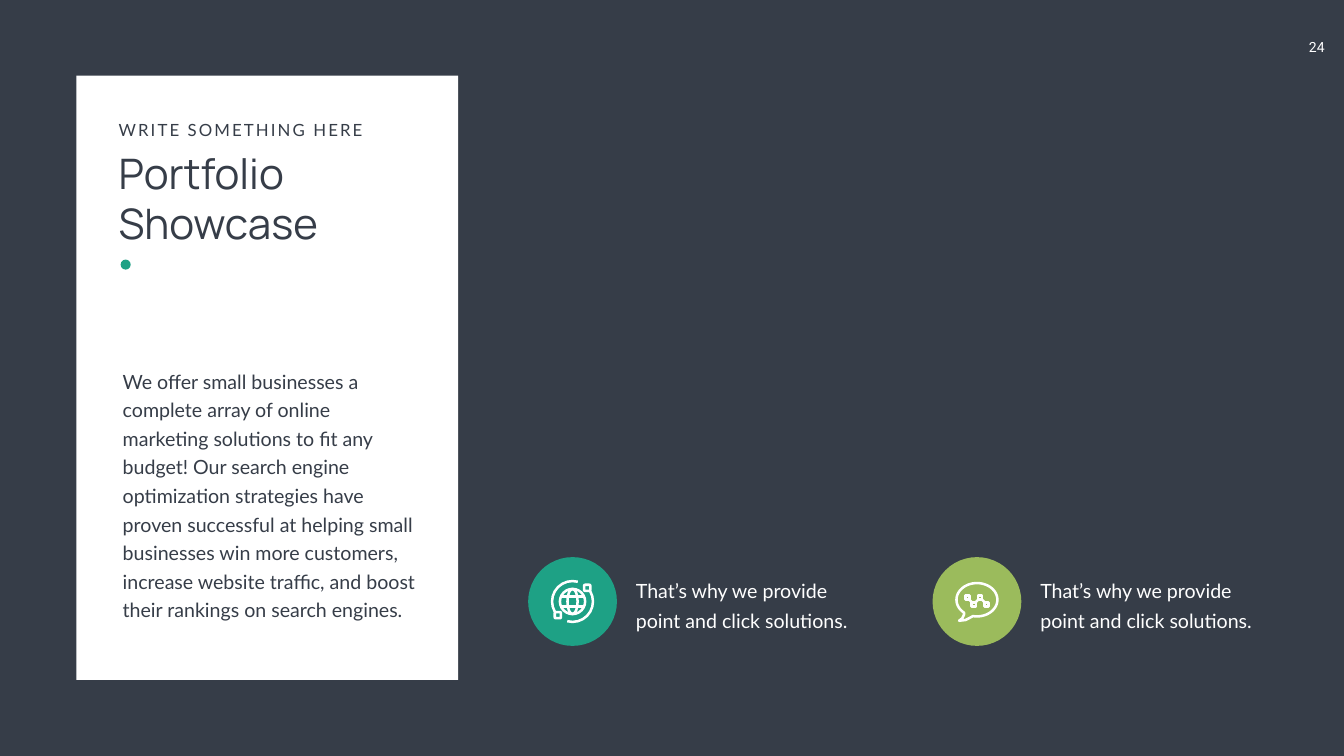
from dataclasses import dataclass
from itertools import pairwise
from math import cos, radians, sin

from lxml.etree import SubElement
from pptx import Presentation
from pptx.dml.color import RGBColor
from pptx.enum.shapes import MSO_CONNECTOR, MSO_SHAPE
from pptx.enum.text import MSO_AUTO_SIZE, PP_ALIGN
from pptx.oxml.ns import qn
from pptx.util import Pt


@dataclass(frozen=True)
class Theme:
    """Colours, fonts and sizes of the slide."""
    dark: RGBColor = RGBColor(0x36, 0x3D, 0x48)
    white: RGBColor = RGBColor(0xFF, 0xFF, 0xFF)
    teal: RGBColor = RGBColor(0x1E, 0xA1, 0x85)
    green: RGBColor = RGBColor(0x9B, 0xBB, 0x5C)
    heading_font: str = "Manrope"
    body_font: str = "Lato"
    number_font: str = "Roboto"
    title_size: float = 60
    body_size: float = 28
    label_size: float = 24
    number_size: float = 20
    stroke: float = 3.6


THEME = Theme()


def set_attributes(target, values):
    """Set every attribute named in values on target."""
    for name, value in values.items():
        setattr(target, name, value)


def add_text(shapes, box, text, font, size, color, frame_format=None,
             paragraph_format=None, spacing=0):
    """Add a one-paragraph text box."""
    shape = shapes.add_textbox(*map(Pt, box))
    frame = shape.text_frame
    set_attributes(frame, {"word_wrap": True,
                           "auto_size": MSO_AUTO_SIZE.SHAPE_TO_FIT_TEXT,
                           **(frame_format or {})})
    paragraph = frame.paragraphs[0]
    set_attributes(paragraph, paragraph_format or {})
    run = paragraph.add_run()
    run.text = text
    set_attributes(run.font, {"name": font, "size": Pt(size)})
    run.font.color.rgb = color
    if spacing:
        run.font._element.set("spc", str(spacing * 100))


def add_filled(shapes, kind, box, color):
    """Add a filled preset shape without a line."""
    shape = shapes.add_shape(kind, *map(Pt, box))
    shape.shadow.inherit = False
    shape.fill.solid()
    shape.fill.fore_color.rgb = color
    shape.line.fill.background()


def draw_stroke(shape):
    """Give a shape the white icon stroke and no fill."""
    shape.shadow.inherit = False
    shape.fill.background()
    shape.line.color.rgb = THEME.white
    shape.line.width = Pt(THEME.stroke)


def add_outline(shapes, kind, center, half_width, half_height, adjustments=()):
    """Add a stroked preset shape around a centre."""
    x, y = center
    shape = shapes.add_shape(kind, Pt(x - half_width), Pt(y - half_height),
                             Pt(2 * half_width), Pt(2 * half_height))
    for index, value in enumerate(adjustments):
        shape.adjustments[index] = value
    draw_stroke(shape)


def add_line(shapes, start, end):
    """Add a straight white icon line."""
    line = shapes.add_connector(MSO_CONNECTOR.STRAIGHT, *map(Pt, (*start, *end)))
    line.line.color.rgb = THEME.white
    line.line.width = Pt(THEME.stroke)
    SubElement(line._element.spPr, qn("a:effectLst"))


def add_contours(shapes, contours):
    """Add one stroked freeform made of (points, closed) contours."""
    builder = None
    for points, closed in contours:
        start, *rest = [(Pt(left), Pt(top)) for left, top in points]
        if builder:
            builder.move_to(*start)
        else:
            builder = shapes.build_freeform(*start)
        builder.add_line_segments(rest, close=closed)
    draw_stroke(builder.convert_to_shape())


def add_globe_icon(shapes, x, y):
    """Draw a globe circled by two orbit arcs with square satellites."""
    for half_width in (18, 7.2):
        add_outline(shapes, MSO_SHAPE.OVAL, (x, y), half_width, 18)
    for offset in (-7.2, 7.2):
        add_line(shapes, (x - 16.5, y + offset), (x + 16.5, y + offset))
    for start, end in ((330, 105), (150, 285)):
        add_outline(shapes, MSO_SHAPE.ARC, (x, y), 29.2, 29.2,
                    (start * 0.6, end * 0.6))
    for direction in (-1, 1):
        center = (x + 21 * direction, y - 19.5 * direction)
        add_outline(shapes, MSO_SHAPE.ROUNDED_RECTANGLE, center, 4.4, 4.4, (0.15,))


def add_bubble_icon(shapes, x, y):
    """Draw a speech bubble holding a zigzag of four nodes."""
    angles = [radians(angle) for angle in range(101, -232, -4)]
    curve = [(29.2 * cos(angle), 23.8 * sin(angle) - 2.5) for angle in angles]
    tail = [(-18.5, 19), (-21, 24), (-25.5, 27.5), (-16.5, 26.5), (-10.5, 23.5)]
    bubble = [(x + left, y + top) for left, top in curve + tail]
    add_contours(shapes, [(bubble, True)])

    nodes = [(x + 9.1 * (index - 1.5), y + (4 if index % 2 else -5.4))
             for index in range(4)]
    corners = ((-2.9, -2.9), (2.9, -2.9), (2.9, 2.9), (-2.9, 2.9))
    squares = [([(left + dx, top + dy) for dx, dy in corners], True)
               for left, top in nodes]
    links = []
    for (left, top), (right, bottom) in pairwise(nodes):
        gap = 3 if bottom > top else -3
        links.append(([(left + 3, top + gap), (right - 3, bottom - gap)], False))
    add_contours(shapes, squares + links)


def add_card(shapes):
    """Add the white card with its heading and description."""
    add_filled(shapes, MSO_SHAPE.RECTANGLE, (109.2, 108, 545.2, 863.3), THEME.white)
    add_text(shapes, (162.3, 207, 432.7, 152.6), "Portfolio Showcase",
             THEME.heading_font, THEME.title_size, THEME.dark)
    add_text(shapes, (162.3, 167.8, 370, 36), "WRITE SOMETHING HERE",
             THEME.body_font, THEME.label_size, THEME.dark,
             {"word_wrap": False}, spacing=3)
    add_filled(shapes, MSO_SHAPE.OVAL, (172.3, 370.8, 14.4, 14.4), THEME.teal)
    add_text(shapes, (168.2, 517.4, 432.7, 375.8),
             "We offer small businesses a complete array of online marketing "
             "solutions to fit any budget! Our search engine optimization "
             "strategies have proven successful at helping small businesses win "
             "more customers, increase website traffic, and boost their rankings "
             "on search engines.",
             THEME.body_font, THEME.body_size, THEME.dark,
             paragraph_format={"line_spacing": Pt(40.8)})


def add_feature(shapes, x, y, color, add_icon):
    """Add a round icon badge with its caption."""
    radius = 63.4
    add_filled(shapes, MSO_SHAPE.OVAL,
               (x - radius, y - radius, 2 * radius, 2 * radius), color)
    add_icon(shapes, x, y)
    add_text(shapes, (x + 83.4, 814.3, 331.2, 90),
             "That’s why we provide point and click solutions.",
             THEME.body_font, THEME.body_size, THEME.white,
             paragraph_format={"line_spacing": Pt(43)})


def main():
    """Build and save the slide."""
    presentation = Presentation()
    set_attributes(presentation, {"slide_width": Pt(1919.52),
                                  "slide_height": Pt(1080)})
    slide = presentation.slides.add_slide(presentation.slide_layouts[6])
    slide.background.fill.solid()
    slide.background.fill.fore_color.rgb = THEME.dark

    add_text(slide.shapes, (1849.7, 48.2, 72.7, 38.9), "24",
             THEME.number_font, THEME.number_size, THEME.white,
             {"margin_left": Pt(14.4), "margin_right": Pt(25.2),
              "margin_top": Pt(7.2), "margin_bottom": Pt(7.2)},
             {"alignment": PP_ALIGN.CENTER})
    add_card(slide.shapes.add_group_shape().shapes)
    features = ((THEME.teal, add_globe_icon), (THEME.green, add_bubble_icon))
    for index, (color, add_icon) in enumerate(features):
        add_feature(slide.shapes.add_group_shape().shapes,
                    817.7 + 577.6 * index, 859.3, color, add_icon)
    presentation.save("out.pptx")


if __name__ == "__main__":
    main()
